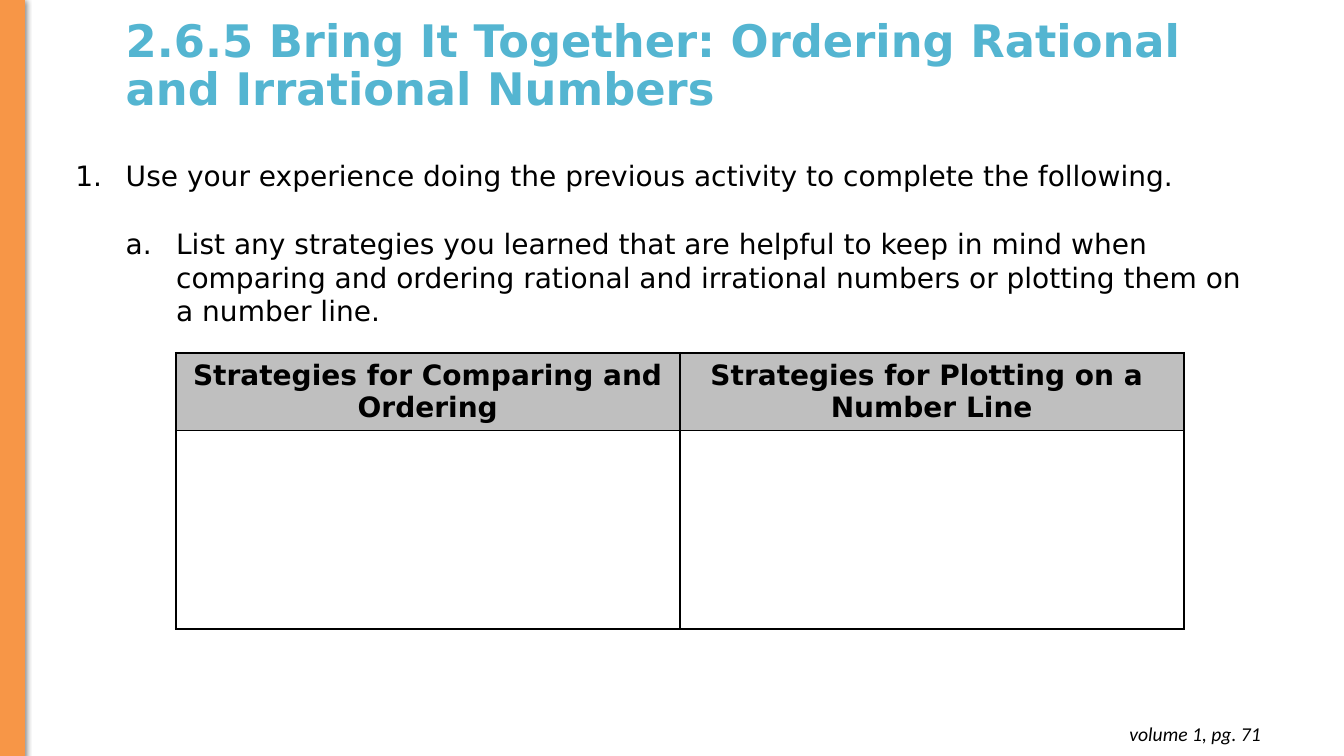
import pptx
import pptx.dml.color
import pptx.enum.shapes
import pptx.enum.text
import pptx.oxml
import pptx.oxml.ns
import pptx.util

Cm, Pt = pptx.util.Cm, pptx.util.Pt
ALIGN = pptx.enum.text.PP_ALIGN
ANCHOR = pptx.enum.text.MSO_ANCHOR

# Content
TITLE = "2.6.5 Bring It Together: Ordering Rational and Irrational Numbers"
QUESTIONS = [  # numbering scheme, text
    ("arabicPeriod", "Use your experience doing the previous activity to complete the following."),
    ("alphaLcPeriod", "List any strategies you learned that are helpful to keep in mind when "
                      "comparing and ordering rational and irrational numbers or plotting them on "
                      "a number line."),
]
STRATEGIES = [  # header lines of each column
    ["Strategies for Comparing and Ordering"],
    ["Strategies for Plotting on a ", "Number Line"],
]
PAGE_REFERENCE = "volume 1, pg. 71"

THEME = {
    "font": "DejaVu Sans", "footer font": "Calibri",
    "title": "54B5D1", "text": "000000", "band": "F79647", "header": "BFBFBF",
    "title size": 32, "body size": 20, "footer size": 14,
    "line pitch": 24.2, "border": 1.5,
}
INDENT = Cm(1.27)
COLUMN_WIDTH = Cm(12.7)
ROW_HEIGHTS = [Cm(1.96), Cm(5)]


def color(name):
    return pptx.dml.color.RGBColor.from_string(THEME[name])


def element(xml):
    head, tail = xml.split(" ", 1)
    return pptx.oxml.parse_xml(f"{head} {pptx.oxml.ns.nsdecls('a')} {tail}")


def add_run(paragraph, text, size="body size", ink="text", font="font", bold=False, italic=False):
    run = paragraph.add_run()
    run.text = text
    run.font.name, run.font.size = THEME[font], Pt(THEME[size])
    run.font.bold, run.font.italic = bold, italic
    run.font.color.rgb = color(ink)


def add_frame(left, top, width, height):
    frame = slide.shapes.add_textbox(Cm(left), Cm(top), Cm(width), Cm(height)).text_frame
    frame.word_wrap = True
    return frame


deck = pptx.Presentation()
deck.slide_width, deck.slide_height = Cm(33.87), Cm(19.05)
slide = deck.slides.add_slide(deck.slide_layouts[6])

# Title
heading = add_frame(2.92, 0.33, 28.58, 2.72)
heading.vertical_anchor = ANCHOR.MIDDLE
heading.paragraphs[0].line_spacing = 0.9
add_run(heading.paragraphs[0], TITLE, "title size", "title", bold=True)

# Numbered questions, each one level deeper
questions = add_frame(1.65, 3.86, 30.35, 4.52)
for level, (scheme, text) in enumerate(QUESTIONS):
    paragraph = questions.paragraphs[0] if level == 0 else questions.add_paragraph()
    props = paragraph._p.get_or_add_pPr()
    props.set("marL", str(INDENT * (level + 1)))
    props.set("indent", str(-INDENT))
    props.append(element(f'<a:buClr ><a:srgbClr val="{THEME["text"]}"/></a:buClr>'))
    props.append(element(f'<a:buFont typeface="{THEME["font"]}"/>'))
    props.append(element(f'<a:buAutoNum type="{scheme}"/>'))
    paragraph.line_spacing = Pt(THEME["line pitch"])
    if level:
        paragraph.space_before = Pt(THEME["line pitch"])
    add_run(paragraph, text)

# Side band with soft shadow
band = slide.shapes.add_shape(pptx.enum.shapes.MSO_SHAPE.RECTANGLE,
                              Cm(0), Cm(-0.02), Cm(0.62), Cm(19.08))
band.fill.solid()
band.fill.fore_color.rgb = color("band")
band.line.color.rgb = color("band")
band.line.width = Pt(0.75)
band._element.spPr.append(element(
    f'<a:effectLst ><a:outerShdw blurRad="{Pt(4.5)}" dist="{Pt(1.5)}" dir="5400000" rotWithShape="0">'
    '<a:srgbClr val="000000"><a:alpha val="50000"/></a:srgbClr></a:outerShdw></a:effectLst>'))

# Page reference
footer = add_frame(24.71, 17.93, 7.32, 1.12)
footer.margin_top = footer.margin_bottom = Cm(0.25)
footer.paragraphs[0].alignment = ALIGN.RIGHT
add_run(footer.paragraphs[0], PAGE_REFERENCE, "footer size", font="footer font", italic=True)

# Strategy table
strategies = slide.shapes.add_table(len(ROW_HEIGHTS), len(STRATEGIES), Cm(4.43), Cm(8.89),
                                    COLUMN_WIDTH * len(STRATEGIES), sum(ROW_HEIGHTS)).table
strategies.first_row = strategies.horz_banding = False
for row, height in zip(strategies.rows, ROW_HEIGHTS):
    row.height = height
for column in strategies.columns:
    column.width = COLUMN_WIDTH

for cell in strategies.iter_cells():
    cell.fill.background()
    for order, side in enumerate("LRTB"):
        cell._tc.get_or_add_tcPr().insert(order, element(
            f'<a:ln{side} w="{Pt(THEME["border"])}"><a:solidFill>'
            f'<a:srgbClr val="{THEME["text"]}"/></a:solidFill></a:ln{side}>'))

for index, lines in enumerate(STRATEGIES):
    cell = strategies.cell(0, index)
    cell.fill.solid()
    cell.fill.fore_color.rgb = color("header")
    cell.vertical_anchor = ANCHOR.MIDDLE
    paragraph = cell.text_frame.paragraphs[0]
    paragraph.alignment = ALIGN.CENTER
    for number, line in enumerate(lines):
        if number:
            paragraph.add_line_break()
        add_run(paragraph, line, bold=True)

deck.save("out.pptx")
